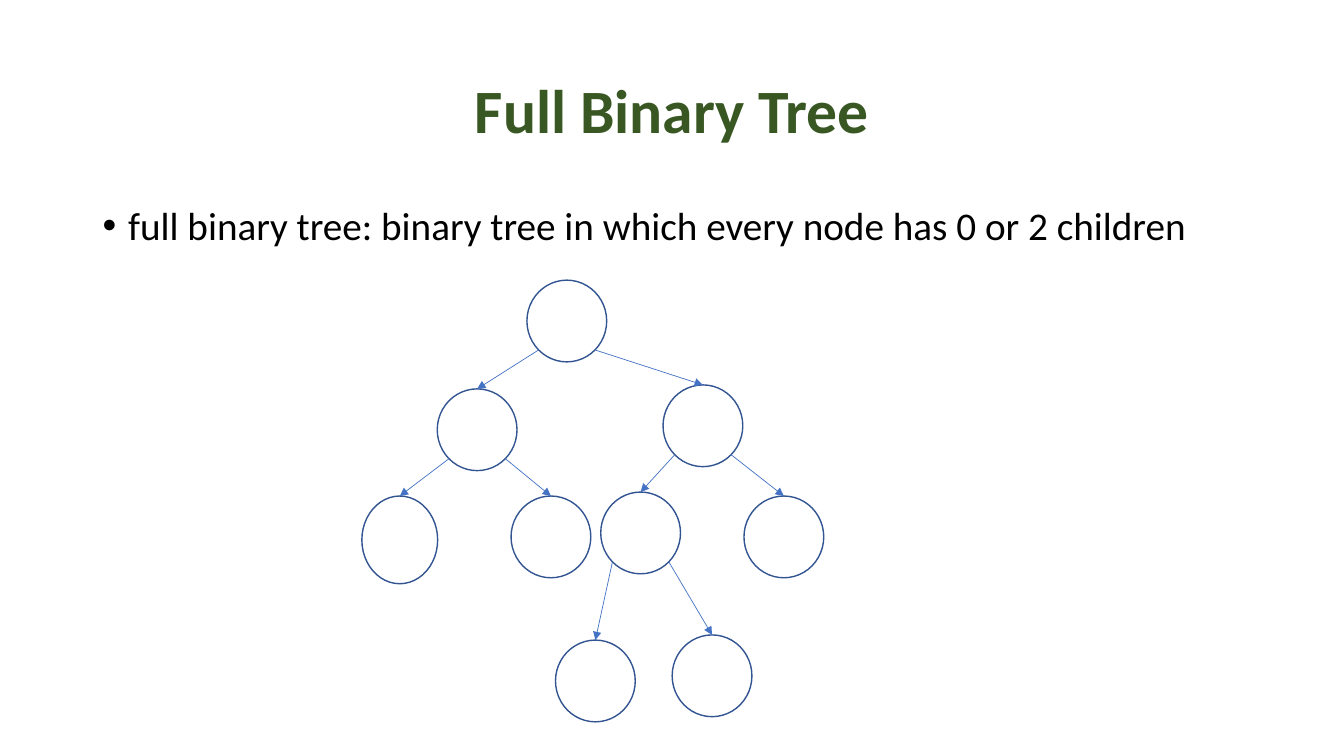
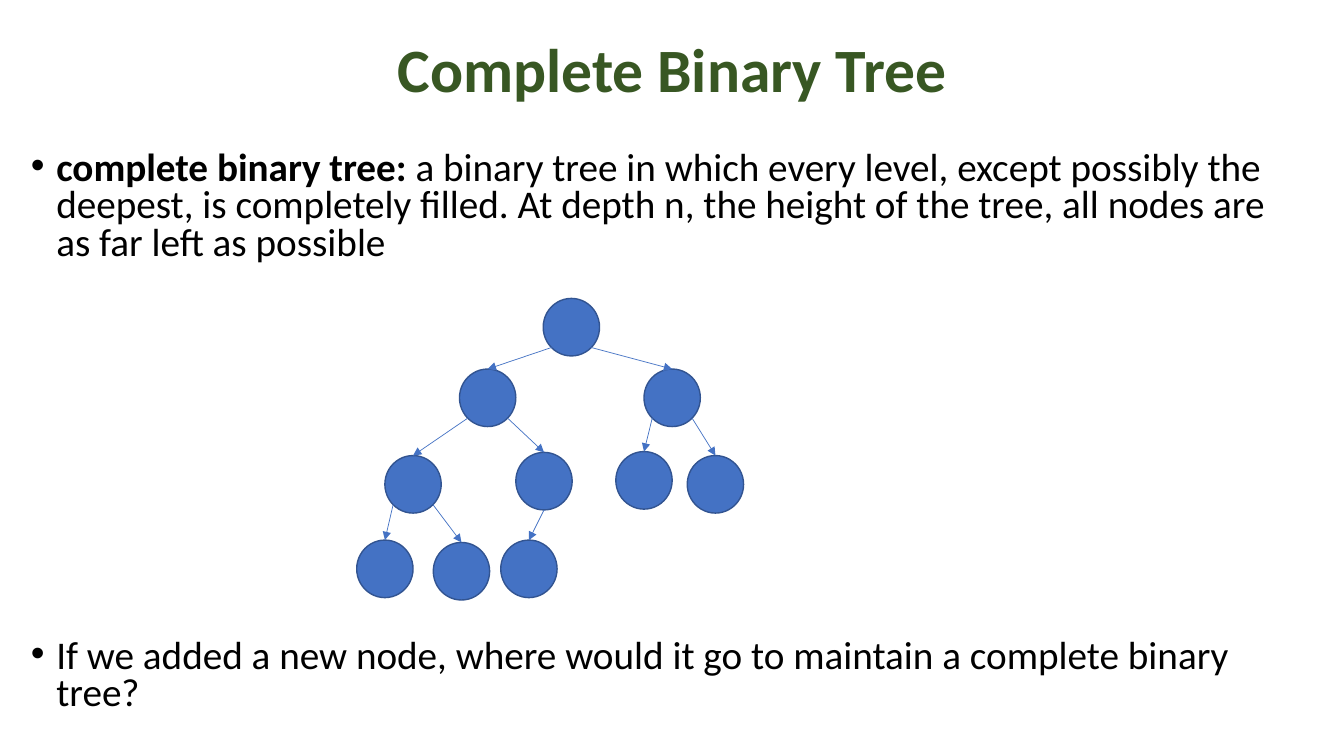
from lxml.etree import SubElement
from pptx import Presentation
from pptx.dml.color import RGBColor
from pptx.enum.shapes import MSO_CONNECTOR, MSO_SHAPE
from pptx.enum.text import MSO_ANCHOR, PP_ALIGN
from pptx.oxml.ns import qn
from pptx.util import Cm, Pt

COLORS = {"title": "385723", "text": "000000", "white": "FFFFFF",
          "blue": "4472C4", "outline": "325491"}
FONT = "Calibri"
BOTTOM_LEFT, BOTTOM, BOTTOM_RIGHT = 3, 4, 5

SLIDES = [
    {
        "title": "Full Binary Tree",
        "title_top": 1.02,
        "line_spacing": 0.9,
        "bullets": [
            ((2.34, 5.08, 29.21, 1.6),
             [("full binary tree: binary tree in which every node has 0 or 2 children", False)]),
        ],
        "fill": "white",
        "node_size": (2.01, 2.06),
        "odd_sizes": {3: (1.91, 2.21)},
        "nodes": [(13.28, 7.06),
                  (11.02, 9.8), (16.71, 9.7),
                  (9.12, 12.5), (12.88, 12.5), (15.14, 12.4), (18.75, 12.5),
                  (14.0, 16.13), (16.94, 16.0)],
        "children": {0: (1, 2), 1: (3, 4), 2: (5, 6), 5: (7, 8)},
    },
    {
        "title": "Complete Binary Tree",
        "title_top": 0,
        "line_spacing": 0.8,
        "bullets": [
            ((0.53, 3.68, 31.93, 3.3),
             [("complete binary tree: ", True),
              ("a binary tree in which every level, except possibly the deepest, "
               "is completely filled. At depth n, the height of the tree, "
               "all nodes are as far left as possible", False)]),
            ((0.53, 15.98, 31.93, 2.2),
             [("If we added a new node, where would it go to maintain "
               "a complete binary tree?", False)]),
        ],
        "fill": "blue",
        "node_size": (1.42, 1.45),
        "odd_sizes": {},
        "nodes": [(13.69, 7.52),
                  (11.58, 9.3), (16.23, 9.3),
                  (9.7, 11.48), (13.0, 11.4), (15.52, 11.38), (17.32, 11.48),
                  (8.99, 13.61), (10.92, 13.67), (12.62, 13.61)],
        "children": {0: (1, 2), 1: (3, 4), 2: (5, 6), 3: (7, 8), 4: (9,)},
    },
]


def rgb(name):
    return RGBColor.from_string(COLORS[name])


def add_text(s, box, runs, size, color, line_spacing, bullet=False):
    tf = s.shapes.add_textbox(*map(Cm, box)).text_frame
    tf.word_wrap = True
    p = tf.paragraphs[0]
    if bullet:
        pPr = p._p.get_or_add_pPr()
        pPr.set("marL", str(Cm(0.64)))
        pPr.set("indent", str(-Cm(0.64)))
        SubElement(pPr, qn("a:buFont")).set("typeface", "Arial")
        SubElement(pPr, qn("a:buChar")).set("char", "•")
    p.line_spacing = line_spacing
    for text, bold in runs:
        r = p.add_run()
        r.text = text
        r.font.name = FONT
        r.font.size = Pt(size)
        r.font.bold = bold
        r.font.color.rgb = rgb(color)
    return tf


def add_title(s, text, top):
    tf = add_text(s, (2.34, top, 29.21, 3.68), [(text, True)], 44, "title", 0.9)
    tf.vertical_anchor = MSO_ANCHOR.MIDDLE
    tf.paragraphs[0].alignment = PP_ALIGN.CENTER


def add_node(s, position, size, fill):
    sp = s.shapes.add_shape(MSO_SHAPE.OVAL, *map(Cm, position + size))
    sp.shadow.inherit = False
    sp.fill.solid()
    sp.fill.fore_color.rgb = rgb(fill)
    sp.line.color.rgb = rgb("outline")
    sp.line.width = Pt(1)
    return sp


def add_edge(s, parent, child, site):
    x = parent.left + parent.width // 2
    y = parent.top + parent.height // 2
    side = site - BOTTOM
    reach = 0.5 ** 0.5 if side else 1
    cx = s.shapes.add_connector(MSO_CONNECTOR.STRAIGHT, 0, 0, 0, 0)
    cx.begin_connect(parent, 0)
    cx.end_connect(child, 0)
    cx._element.find(".//" + qn("a:stCxn")).set("idx", str(site))
    cx.begin_x = int(x + side * reach * parent.width / 2)
    cx.begin_y = int(y + reach * parent.height / 2)
    cx.line.color.rgb = rgb("blue")
    cx.line.width = Pt(0.5)
    SubElement(cx.line._get_or_add_ln(), qn("a:tailEnd")).set("type", "triangle")
    SubElement(cx._element.spPr, qn("a:effectLst"))


def add_tree(s, data):
    nodes = [add_node(s, position, data["odd_sizes"].get(i, data["node_size"]), data["fill"])
             for i, position in enumerate(data["nodes"])]
    for parent, children in data["children"].items():
        sites = (BOTTOM_LEFT, BOTTOM_RIGHT) if len(children) == 2 else (BOTTOM,)
        for child, site in zip(children, sites):
            add_edge(s, nodes[parent], nodes[child], site)


def main():
    prs = Presentation()
    prs.slide_width, prs.slide_height = Cm(33.87), Cm(19.05)
    for data in SLIDES:
        s = prs.slides.add_slide(prs.slide_layouts[6])
        add_title(s, data["title"], data["title_top"])
        for box, runs in data["bullets"]:
            add_text(s, box, runs, 28, "text", data["line_spacing"], bullet=True)
        add_tree(s, data)
    prs.save("out.pptx")


if __name__ == "__main__":
    main()
